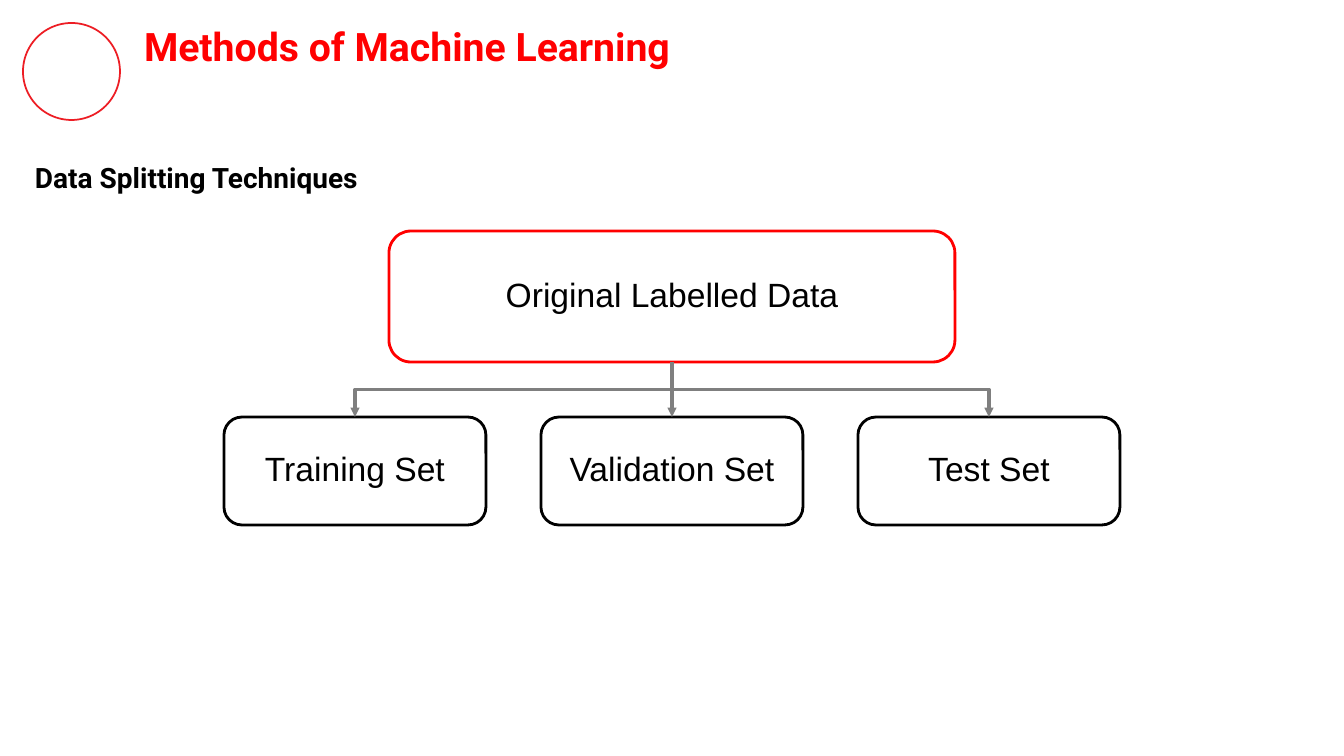
from lxml import etree
from pptx import Presentation
from pptx import util as u
from pptx.dml.color import RGBColor
from pptx.enum import shapes, text
from pptx.oxml.ns import qn

THEME = {
    "red": RGBColor(0xFF, 0x00, 0x00),
    "title": RGBColor(0xFF, 0x00, 0x01),
    "ring": RGBColor(0xED, 0x1D, 0x24),
    "black": RGBColor(0x00, 0x00, 0x00),
    "white": RGBColor(0xFF, 0xFF, 0xFF),
    "grey": RGBColor(0x7F, 0x7F, 0x7F),
    "heading_font": "Roboto",
    "box_font": "Arial",
    "title_size": 28,
    "subtitle_size": 20,
    "box_size": 24,
}


def px(count):
    return u.Emu(round(count * 914400 / 100.8))


def write(shape, wording, font, size, color, bold, margins, anchor):
    frame = shape.text_frame
    frame.word_wrap = True
    frame.vertical_anchor = anchor
    frame.margin_left, frame.margin_top, frame.margin_right, frame.margin_bottom = map(px, margins)
    paragraph = frame.paragraphs[0]
    paragraph.text = wording
    paragraph.font.name = THEME[font]
    paragraph.font.size = u.Pt(THEME[size])
    paragraph.font.color.rgb = THEME[color]
    paragraph.font.bold = bold
    return paragraph


presentation = Presentation()
presentation.slide_width = px(1344)
presentation.slide_height = px(756)
slide = presentation.slides.add_slide(presentation.slide_layouts[6])

ring = slide.shapes.add_shape(shapes.MSO_SHAPE.OVAL, px(23), px(23), px(97), px(97))
ring.shadow.inherit = False
ring.fill.background()
ring.line.color.rgb = THEME["ring"]
ring.line.width = u.Pt(1.25)

title = slide.shapes.add_textbox(px(134), px(12), px(1127), px(68))
write(title, "Methods of Machine Learning", "heading_font", "title_size", "title", True,
      (10, 10, 10, 10), text.MSO_ANCHOR.TOP)

subtitle = slide.shapes.add_textbox(px(13), px(141), px(713), px(72))
paragraph = write(subtitle, "Data Splitting Techniques", "heading_font", "subtitle_size", "black", True,
                  (22, 10, 10, 10), text.MSO_ANCHOR.MIDDLE)
paragraph.space_after = u.Pt(12)

source_left, source_top, source_width, source_height = 389, 231, 566, 131
set_left, set_top, set_width, set_height, set_pitch = 224, 417, 262, 108, 317

boxes = [("Original Labelled Data", source_left, source_top, source_width, source_height, "red")]
for index, name in enumerate(("Training Set", "Validation Set", "Test Set")):
    boxes.append((name, set_left + index * set_pitch, set_top, set_width, set_height, "black"))

drawn = []
for name, left, top, width, height, outline in boxes:
    box = slide.shapes.add_shape(shapes.MSO_SHAPE.ROUNDED_RECTANGLE, px(left), px(top), px(width), px(height))
    box.adjustments[0] = 0.167
    box.shadow.inherit = False
    box.fill.solid()
    box.fill.fore_color.rgb = THEME["white"]
    box.line.color.rgb = THEME[outline]
    box.line.width = u.Pt(2)
    paragraph = write(box, name, "box_font", "box_size", "black", False, (7, 7, 7, 7), text.MSO_ANCHOR.MIDDLE)
    paragraph.alignment = text.PP_ALIGN.CENTER
    paragraph.line_spacing = 0.9
    drawn.append(box)

source_box, *set_boxes = drawn
source_middle = source_left + source_width // 2
source_bottom = source_top + source_height
drop = set_top - source_bottom

for index, set_box in enumerate(set_boxes):
    set_middle = set_left + index * set_pitch + set_width // 2
    span = abs(set_middle - source_middle)
    kind = shapes.MSO_CONNECTOR.ELBOW if span else shapes.MSO_CONNECTOR.STRAIGHT
    arrow = slide.shapes.add_connector(kind, px(source_middle), px(source_bottom), px(set_middle), px(set_top))
    arrow.begin_connect(source_box, 2)
    arrow.end_connect(set_box, 0)
    properties = arrow._element.spPr
    if span:
        rightward = set_middle > source_middle
        arrow.left = px((source_middle + set_middle - drop) / 2)
        arrow.top = px((source_bottom + set_top - span) / 2)
        arrow.width, arrow.height = px(drop), px(span)
        frame = properties.find(qn("a:xfrm"))
        frame.set("rot", str((270 if rightward else 90) * 60000))
        frame.set("flipH", "1" if rightward else "0")
        frame.set("flipV", "0")
    arrow.line.color.rgb = THEME["grey"]
    arrow.line.width = u.Pt(2.25)
    etree.SubElement(properties.find(qn("a:ln")), qn("a:tailEnd"), type="triangle")
    etree.SubElement(properties, qn("a:effectLst"))

presentation.save("out.pptx")
